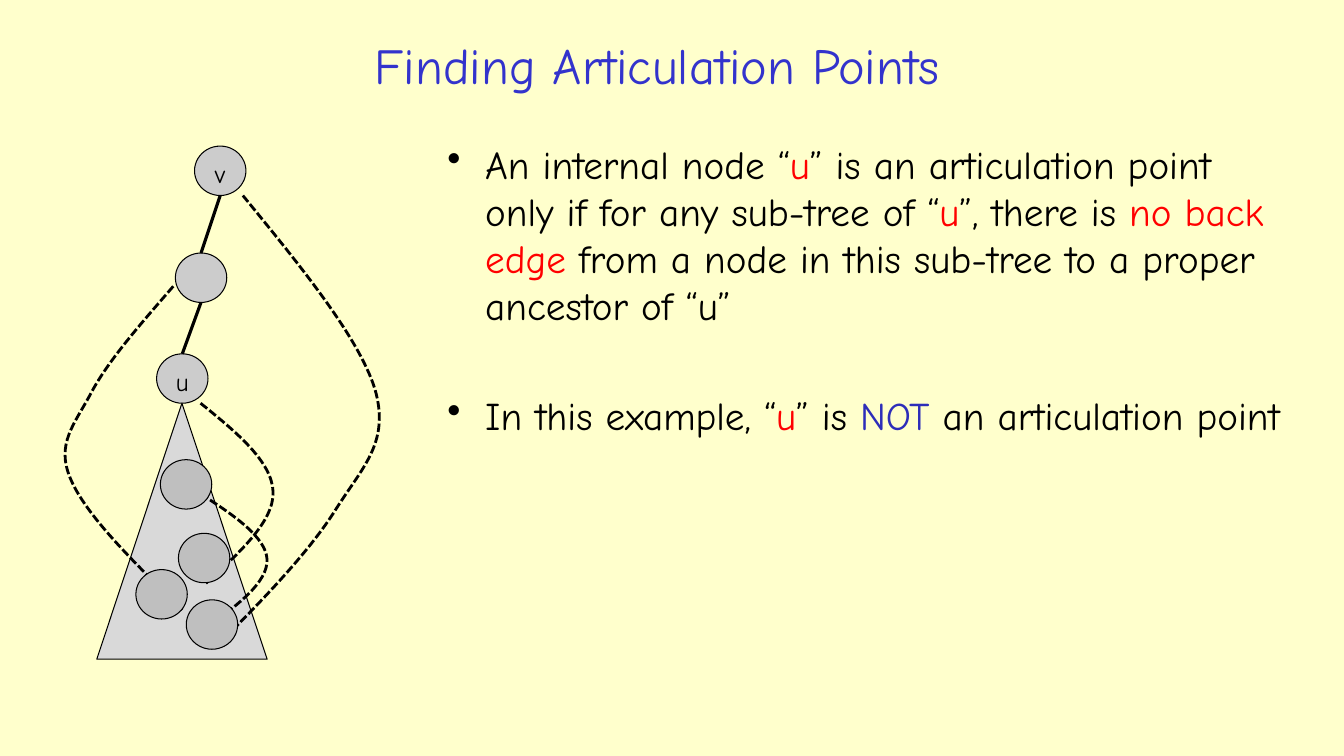
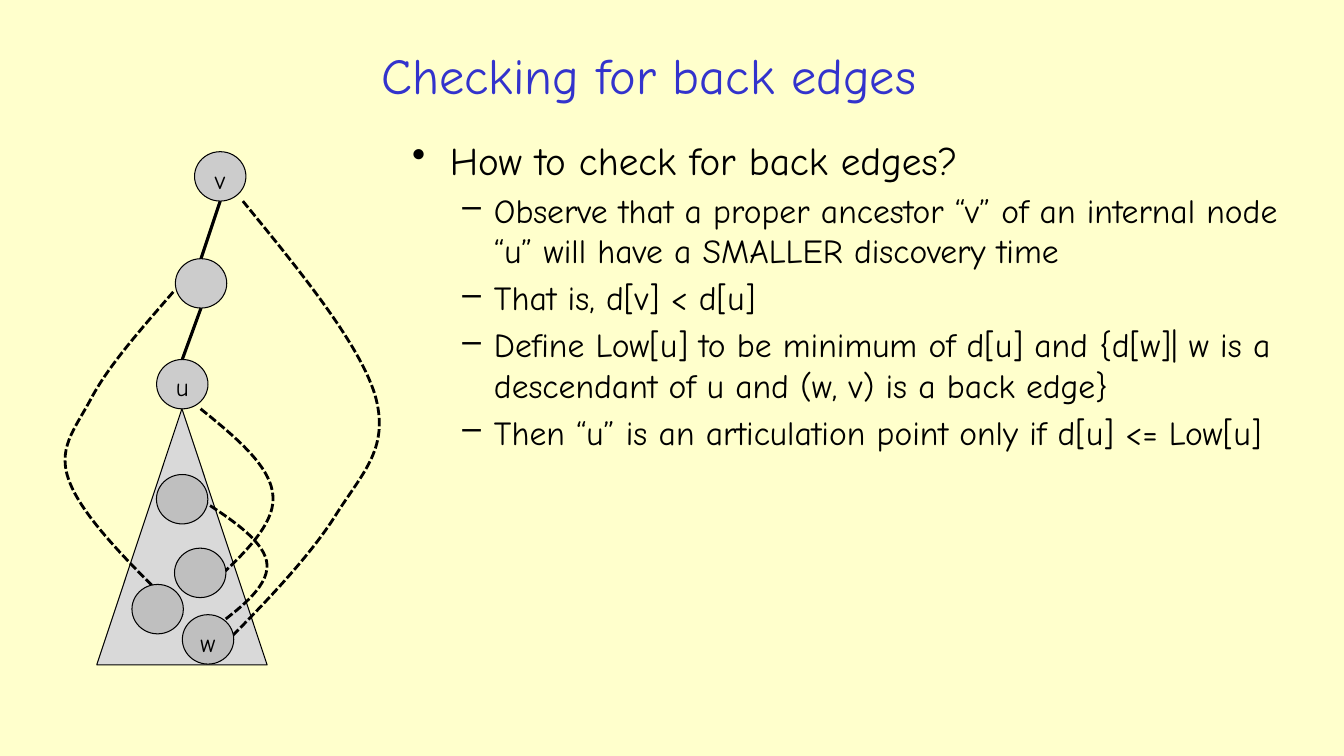
"""Build two slides about articulation points and back edges in a depth-first tree."""
from dataclasses import dataclass
from typing import NamedTuple

from lxml.etree import SubElement
from pptx import Presentation
from pptx.dml.color import RGBColor
from pptx.enum.dml import MSO_LINE
from pptx.enum.shapes import MSO_CONNECTOR, MSO_SHAPE as Shape
from pptx.enum.text import MSO_ANCHOR, MSO_AUTO_SIZE, PP_ALIGN
from pptx.oxml.ns import qn
from pptx.util import Pt

FONT = "Comic Neue"
COLORS = {
    "background": "FFFFCC",
    "title": "3333CC",
    "text": "000000",
    "accent": "FF0000",
    "emphasis": "2D2DB9",
    "tree_node": "CCCCCC",
    "subtree_node": "BFBFBF",
    "subtree": "D9D9D9",
}
NODE_WIDTH, NODE_HEIGHT = 36.7, 35.3
TITLE_WIDTH, TITLE_HEIGHT = 645, 54.7


class Point(NamedTuple):
    x: float
    y: float

    def shifted(self, offset: "Point") -> "Point":
        return Point(self.x + offset.x, self.y + offset.y)


class Box(NamedTuple):
    left: float
    top: float
    width: float
    height: float

    def lengths(self) -> list:
        return [Pt(value) for value in self]


class Span(NamedTuple):
    text: str
    color: str = "text"


@dataclass(frozen=True)
class Level:
    bullet: str
    size: float
    margin: float
    hanging: float


@dataclass(frozen=True)
class Bullet:
    spans: tuple[Span, ...]
    level: int = 0
    space_before: float | None = None


@dataclass(frozen=True)
class Lesson:
    title: str
    title_corner: Point
    body: Box
    bullets: tuple[Bullet, ...]
    tree_offset: Point
    subtree_offset: Point
    last_label: str = ""


LEVELS = (Level("•", 28, 27, 27), Level("–", 24, 58.5, 22.5))

TREE_NODES = (
    (Point(157.3, 122), "v"),
    (Point(143.6, 198.4), ""),
    (Point(130.2, 270.4), "u"),
)
SUBTREE = Box(69.1, 288, 121.7, 182.9)
SUBTREE_NODES = (
    Point(151.4, 446.1),
    Point(145.8, 398.6),
    Point(115.4, 424.5),
    Point(132.9, 346),
)
BACK_EDGES = (
    ((123.8, 204.5), (100.8, 231.1), (77.8, 257), (65.5, 280),
     (53.3, 303.1), (39.6, 316.8), (50.4, 342),
     (61.2, 367.9), (95.8, 401.8), (130.3, 435.6)),
    ((143.3, 352.8), (167, 367.9), (190.1, 383.8), (190.8, 399.6),
     (191.5, 416.2), (169.2, 432.7), (146.2, 449.3)),
    ((143.3, 288), (169.2, 308.9), (194.4, 329.8), (195.1, 351.4),
     (195.8, 372.2), (171.4, 394.6), (146.9, 416.9)),
    ((154.8, 461.5), (188.6, 427.7), (221.8, 393.1), (240.5, 362.9),
     (259.9, 332.6), (278.6, 315.4), (267.8, 277.9),
     (256.3, 241.2), (215.3, 190.8), (173.5, 139.7)),
)

LESSONS = (
    Lesson(
        "Finding Articulation Points",
        Point(147, 18.7),
        Box(312.5, 96.5, 613.5, 397.5),
        (
            Bullet((
                Span("An internal node “"),
                Span("u", "accent"),
                Span("” is an articulation point only if for any sub-tree of “"),
                Span("u", "accent"),
                Span("”, there is "),
                Span("no back edge", "accent"),
                Span(" from a node in this sub-tree to a proper ancestor of “u”"),
            )),
            Bullet((
                Span("In this example, “"),
                Span("u", "accent"),
                Span("” is "),
                Span("NOT ", "emphasis"),
                Span("an articulation point"),
            ), space_before=45),
        ),
        Point(0, 0),
        Point(0, 0),
    ),
    Lesson(
        "Checking for back edges",
        Point(141, 26),
        Box(287.3, 93.6, 635.8, 409),
        (
            Bullet((Span("How to check for back edges?"),)),
            Bullet((Span("Observe that a proper ancestor “v” of an internal node "
                         "“u” will have a SMALLER discovery time"),), 1),
            Bullet((Span("That is, d[v] < d[u]"),), 1),
            Bullet((Span("Define Low[u] to be minimum of d[u] and {d[w]| w is a "
                         "descendant of u and (w, v) is a back edge}"),), 1),
            Bullet((Span("Then “u” is an articulation point only if d[u] <= Low[u]"),), 1),
        ),
        Point(0, 4),
        Point(-2.8, 10.6),
        "w",
    ),
)


def rgb(name: str) -> RGBColor:
    return RGBColor.from_string(COLORS[name])


def format_font(font, size: float, color: str) -> None:
    font.name = FONT
    font.size = Pt(size)
    font.color.rgb = rgb(color)


def set_line(line, width: float) -> None:
    line.color.rgb = rgb("text")
    line.width = Pt(width)


def add_title(slide, text: str, corner: Point) -> None:
    title = slide.shapes.title
    title.left, title.top, title.width, title.height = Box(
        *corner, TITLE_WIDTH, TITLE_HEIGHT).lengths()
    frame = title.text_frame
    frame.text = text
    frame.auto_size = MSO_AUTO_SIZE.NONE
    frame.vertical_anchor = MSO_ANCHOR.MIDDLE
    paragraph = frame.paragraphs[0]
    paragraph.alignment = PP_ALIGN.CENTER
    format_font(paragraph.runs[0].font, 36, "title")


def add_bullets(slide, box: Box, bullets: tuple[Bullet, ...]) -> None:
    frame = slide.shapes.add_textbox(*box.lengths()).text_frame
    frame.word_wrap = True
    for index, bullet in enumerate(bullets):
        paragraph = frame.add_paragraph() if index else frame.paragraphs[0]
        level = LEVELS[bullet.level]
        paragraph.level = bullet.level
        if index:
            paragraph.space_before = Pt(bullet.space_before or level.size * 0.2)
        properties = paragraph._p.get_or_add_pPr()
        properties.set("marL", str(Pt(level.margin)))
        properties.set("indent", str(-Pt(level.hanging)))
        SubElement(properties, qn("a:buChar"), char=level.bullet)
        for span in bullet.spans:
            run = paragraph.add_run()
            run.text = span.text
            format_font(run.font, level.size, span.color)


def add_filled(slide, kind: Shape, box: Box, color: str):
    shape = slide.shapes.add_shape(kind, *box.lengths())
    shape.shadow.inherit = False
    shape.fill.solid()
    shape.fill.fore_color.rgb = rgb(color)
    set_line(shape.line, 0.75)
    return shape


def add_node(slide, center: Point, color: str, label: str) -> None:
    box = Box(center.x - NODE_WIDTH / 2, center.y - NODE_HEIGHT / 2,
              NODE_WIDTH, NODE_HEIGHT)
    shape = add_filled(slide, Shape.OVAL, box, color)
    if label:
        frame = shape.text_frame
        frame.text = label
        frame.word_wrap = False
        frame.vertical_anchor = MSO_ANCHOR.TOP
        paragraph = frame.paragraphs[0]
        paragraph.alignment = PP_ALIGN.CENTER
        format_font(paragraph.runs[0].font, 18, "text")


def add_tree_edge(slide, parent: Point, child: Point) -> None:
    connector = slide.shapes.add_connector(
        MSO_CONNECTOR.STRAIGHT,
        Pt(parent.x), Pt(parent.y + NODE_HEIGHT / 2),
        Pt(child.x), Pt(child.y - NODE_HEIGHT / 2))
    set_line(connector.line, 2.25)
    SubElement(connector.element.spPr, qn("a:effectLst"))


def add_back_edge(slide, points: list[Point]) -> None:
    """Draw a dashed curve, turning each three line segments into one Bezier segment."""
    start, *others = [(Pt(point.x), Pt(point.y)) for point in points]
    builder = slide.shapes.build_freeform(*start)
    builder.add_line_segments(others, close=False)
    shape = builder.convert_to_shape()
    shape.shadow.inherit = False
    shape.fill.background()
    set_line(shape.line, 2)
    shape.line.dash_style = MSO_LINE.SQUARE_DOT
    segments = shape.element.xpath(".//a:lnTo")
    for first in range(0, len(segments), 3):
        outline = segments[first].getparent()
        curve = SubElement(outline, qn("a:cubicBezTo"))
        for segment in segments[first:first + 3]:
            curve.append(segment[0])
            outline.remove(segment)


def add_tree(slide, lesson: Lesson) -> None:
    offset = lesson.tree_offset
    nodes = [(center.shifted(offset), label) for center, label in TREE_NODES]
    for center, label in reversed(nodes):
        add_node(slide, center, "tree_node", label)
    triangle = SUBTREE._replace(top=SUBTREE.top + offset.y)
    add_filled(slide, Shape.ISOSCELES_TRIANGLE, triangle, "subtree")
    for (parent, _), (child, _) in zip(nodes, nodes[1:]):
        add_tree_edge(slide, parent, child)
    for points in BACK_EDGES:
        add_back_edge(slide, [Point(*point).shifted(offset) for point in points])
    for index, center in enumerate(SUBTREE_NODES):
        label = "" if index else lesson.last_label
        add_node(slide, center.shifted(lesson.subtree_offset), "subtree_node", label)


def main() -> None:
    presentation = Presentation()
    presentation.slide_width, presentation.slide_height = Pt(960), Pt(540)
    background = presentation.slide_master.background.fill
    background.solid()
    background.fore_color.rgb = rgb("background")
    for lesson in LESSONS:
        slide = presentation.slides.add_slide(presentation.slide_layouts[5])
        add_title(slide, lesson.title, lesson.title_corner)
        add_bullets(slide, lesson.body, lesson.bullets)
        add_tree(slide, lesson)
    presentation.save("out.pptx")


if __name__ == "__main__":
    main()
